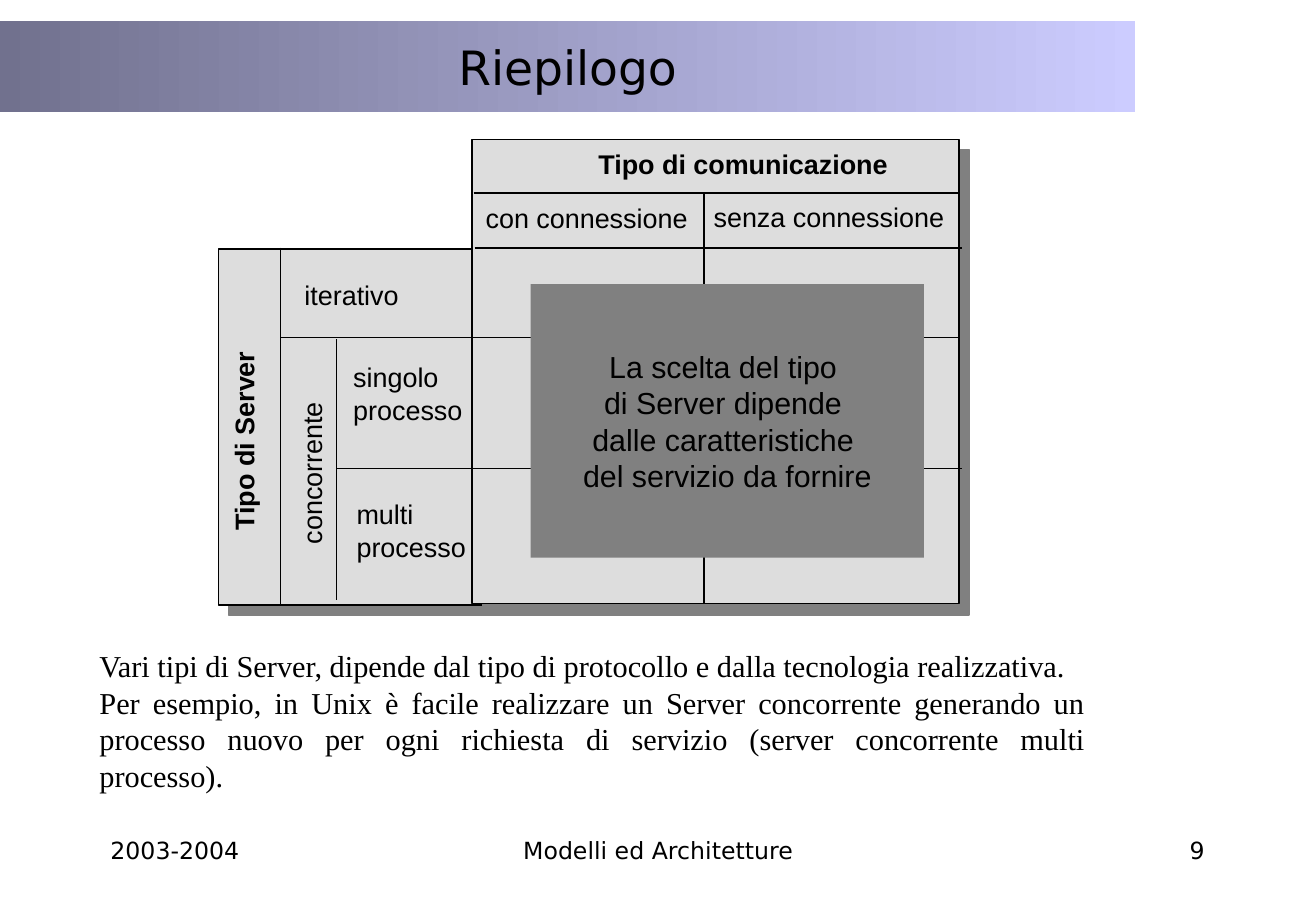
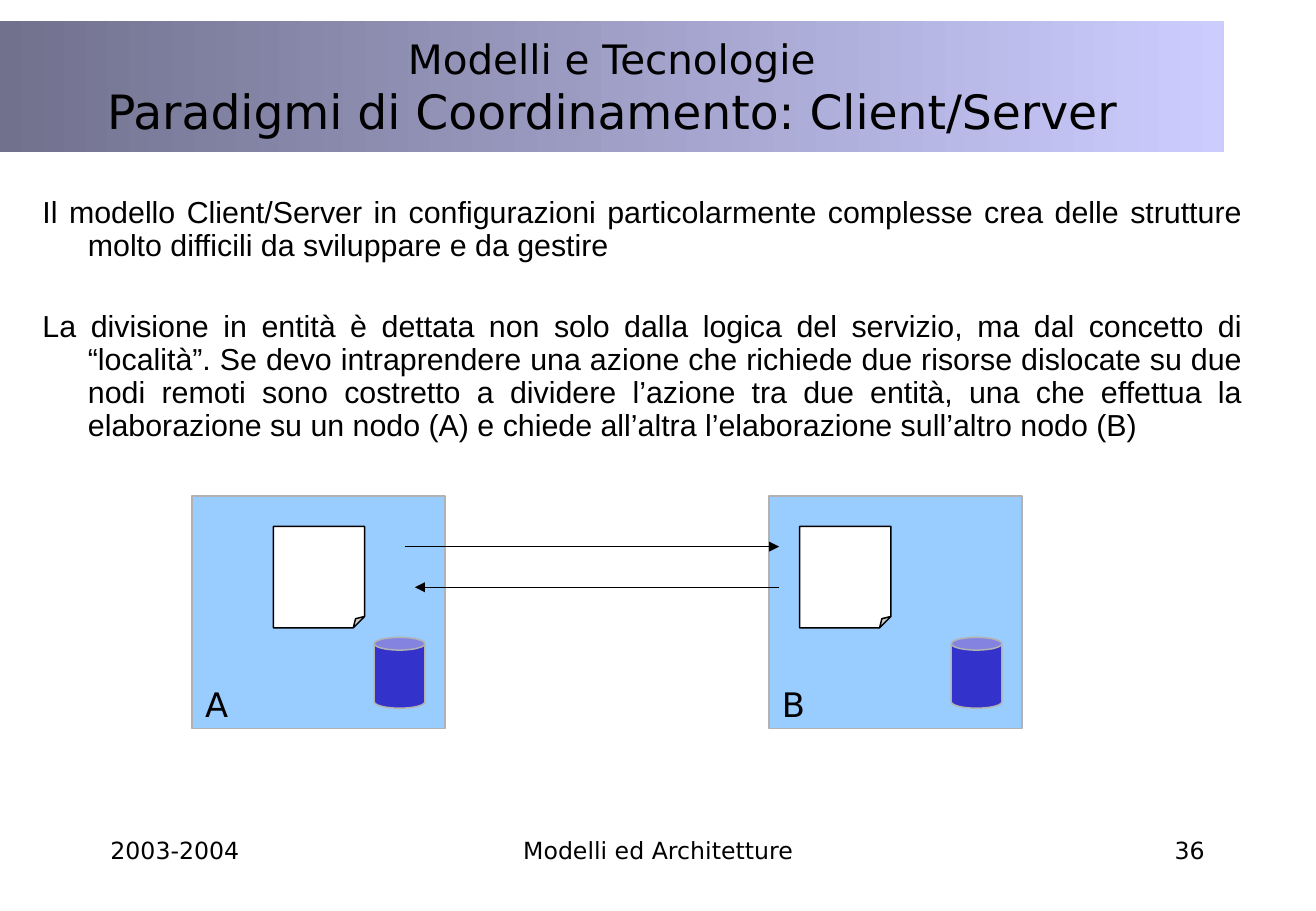
from dataclasses import dataclass

from lxml.etree import SubElement
from pptx import Presentation
from pptx.dml.color import RGBColor
from pptx.enum.shapes import MSO_CONNECTOR, MSO_SHAPE
from pptx.enum.text import MSO_ANCHOR, MSO_AUTO_SIZE, PP_ALIGN
from pptx.oxml.ns import qn
from pptx.util import Cm, Pt


@dataclass(frozen=True)
class Theme:
    ink: str = "000000"
    band_dark: str = "71718E"
    band_light: str = "CCCCFF"
    grid: str = "DDDDDD"
    grey: str = "808080"
    node: str = "99CCFF"
    disk: str = "3333CC"
    edge: str = "B2B2B2"
    paper: str = "FFFFFF"
    head: str = "DejaVu Sans"
    sans: str = "Arial"
    serif: str = "Times New Roman"
    title: int = 28
    overline: int = 24
    node_label: int = 20
    body: int = 18
    label: int = 16
    footer: int = 14
    grid_line: float = 1
    thin_line: float = 0.88


T = Theme()
LEFT, CENTER, RIGHT, JUSTIFY = PP_ALIGN.LEFT, PP_ALIGN.CENTER, PP_ALIGN.RIGHT, PP_ALIGN.JUSTIFY

# Boxes are (left, top, width, height) and points (x, y), in centimetres.
FOOTER_TOP, FOOTER_HEIGHT = 17.35, 1.27
FOOTERS = [  # left, width, alignment, text
    (2.06, 5.74, LEFT, "2003-2004"),
    (8.69, 10.16, CENTER, "Modelli ed Architetture"),
    (19.71, 5.74, RIGHT, "{number}"),
]

SUMMARY_TITLE = ["Riepilogo"]
SUMMARY_TEXT = [
    ("Vari tipi di Server, dipende dal tipo di protocollo e dalla tecnologia realizzativa. ",
     {"line_spacing": 0.9}),
    "Per esempio, in Unix è facile realizzare un Server concorrente generando un processo "
    "nuovo per ogni richiesta di servizio (server concorrente multi processo).",
]
GRID_PANELS = [(4.57, 5.21, 15.49, 7.44), (9.88, 2.92, 10.19, 9.7)]
GRID_LINES = [
    ((9.91, 4.04), (20.07, 4.04)),
    ((9.93, 5.18), (20.12, 5.18)),
    ((5.87, 7.06), (20.04, 7.06)),
    ((7.06, 9.8), (20.12, 9.8)),
    ((5.87, 5.18), (5.87, 12.62)),
    ((7.04, 7.09), (7.04, 12.55)),
    ((14.73, 4.04), (14.73, 12.62)),
]
GRID_LABELS = [  # box, lines, format
    ((12.27, 2.97, 6.73, 0.94), ["Tipo di comunicazione"], {"bold": True}),
    ((9.91, 4.09, 4.75, 0.94), ["con connessione"], {}),
    ((14.68, 4.06, 5.33, 0.94), ["senza connessione"], {}),
    ((6.12, 5.69, 2.49, 0.94), ["iterativo"], {}),
    ((7.14, 7.42, 2.79, 1.6), ["singolo", "processo"], {}),
    ((7.21, 10.29, 2.79, 1.6), ["multi", "processo"], {}),
    ((4.78, 9.42, 3.48, 0.94), ["concorrente"], {"rotation": 270}),
    ((2.97, 8.74, 4.27, 0.94), ["Tipo di Server"], {"rotation": 270, "bold": True}),
]
CHOICE_BOX = (11.1, 5.94, 8.23, 5.72)
CHOICE_TEXT = ["La scelta del tipo ", "di Server dipende ", "dalle caratteristiche ",
               "del servizio da fornire"]

PARADIGM_TITLE = [("Modelli e Tecnologie", {"size": T.overline}),
                  "Paradigmi di Coordinamento: Client/Server"]
PARADIGM_TEXT = [
    "Il modello Client/Server in configurazioni particolarmente complesse crea delle "
    "strutture molto difficili da sviluppare e da gestire",
    ("La divisione in entità è dettata non solo dalla logica del servizio, ma dal concetto "
     "di “località”. Se devo intraprendere una azione che richiede due risorse dislocate su "
     "due nodi remoti sono costretto a dividere l’azione tra due entità, una che effettua la "
     "elaborazione su un nodo (A) e chiede all’altra l’elaborazione sull’altro nodo (B)",
     {"space_before": 28.5}),
]
NODE_TOP, NODE_WIDTH, NODE_HEIGHT = 10.37, 5.29, 4.87
NODES = [("A", 4.02, 1.7), ("B", 16.09, 0.64)]  # name, left, inset of the page
MESSAGES = [((8.47, 11.43), (16.3, 11.43)), ((16.3, 12.28), (8.68, 12.28))]


def rgb(value):
    return RGBColor.from_string(value)


def add_paragraph(p, text, *, size, font, align=LEFT, bold=False, line_spacing=None,
                  space_before=None, hanging=None):
    if hanging:
        pPr = p._p.get_or_add_pPr()
        pPr.set("marL", str(Cm(hanging)))
        pPr.set("indent", str(-Cm(hanging)))
    p.alignment = align
    if line_spacing:
        p.line_spacing = line_spacing
    if space_before:
        p.space_before = Pt(space_before)
    r = p.add_run()
    r.text = text
    r.font.name, r.font.size, r.font.bold = font, Pt(size), bold
    r.font.color.rgb = rgb(T.ink)


def write(sp, paragraphs, *, anchor=MSO_ANCHOR.TOP, wrap=True, **fmt):
    """Fill a shape with text; a paragraph is a string or (string, own format)."""
    tf = sp.text_frame
    tf.word_wrap, tf.vertical_anchor = wrap, anchor
    for i, item in enumerate(paragraphs):
        text, own = (item, {}) if isinstance(item, str) else item
        p = tf.add_paragraph() if i else tf.paragraphs[0]
        add_paragraph(p, text, **{**fmt, **own})


def add_text(s, box, paragraphs, *, rotation=0, fit=False, **fmt):
    sp = s.shapes.add_textbox(*map(Cm, box))
    sp.rotation = rotation
    write(sp, paragraphs, wrap=not fit, **fmt)
    if fit:
        sp.text_frame.auto_size = MSO_AUTO_SIZE.SHAPE_TO_FIT_TEXT


def add_box(s, box, fill=None, line=None, *, kind=MSO_SHAPE.RECTANGLE, width=T.thin_line):
    sp = s.shapes.add_shape(kind, *map(Cm, box))
    sp.shadow.inherit = False
    if fill:
        sp.fill.solid()
        sp.fill.fore_color.rgb = rgb(fill)
    if line:
        sp.line.color.rgb = rgb(line)
        sp.line.width = Pt(width)
    else:
        sp.line.fill.background()
    return sp


def drop_shadow(sp):
    effects = sp._element.spPr.find(qn("a:effectLst"))
    shadow = SubElement(effects, qn("a:outerShdw"), dist=str(Pt(8.5)), dir="2700000",
                        algn="ctr", rotWithShape="0")
    SubElement(shadow, qn("a:srgbClr"), val=T.grey)


def set_fold(sp, share):
    """Size the folded corner, for which python-pptx lists no adjustment."""
    guides = sp._element.spPr.find(qn("a:prstGeom")).get_or_add_avLst()
    SubElement(guides, qn("a:gd"), name="adj", fmla=f"val {round(share * 100000)}")


def add_line(s, start, end, width, arrow=False):
    c = s.shapes.add_connector(MSO_CONNECTOR.STRAIGHT, *map(Cm, start + end))
    c.line.color.rgb = rgb(T.ink)
    c.line.width = Pt(width)
    if arrow:
        SubElement(c.line._get_or_add_ln(), qn("a:tailEnd"), type="triangle")
    SubElement(c._element.spPr, qn("a:effectLst"))


def add_slide(prs, title, number, band_width, band_height):
    """Blank slide with the title band and the footers."""
    s = prs.slides.add_slide(prs.slide_layouts[6])
    band = add_box(s, (0, 0.43, band_width, band_height))
    band.fill.gradient()
    band.fill.gradient_angle = 0
    for stop, colour in zip(band.fill.gradient_stops, (T.band_dark, T.band_light)):
        stop.color.rgb = rgb(colour)
    write(band, title, anchor=MSO_ANCHOR.MIDDLE, size=T.title, font=T.head, align=CENTER)
    for left, width, align, text in FOOTERS:
        add_text(s, (left, FOOTER_TOP, width, FOOTER_HEIGHT), [text.format(number=number)],
                 size=T.footer, font=T.head, align=align)
    return s


def build_summary(prs):
    s = add_slide(prs, SUMMARY_TITLE, 9, 23.75, 1.91)
    add_text(s, (1.83, 13.49, 21.13, 3.23), SUMMARY_TEXT,
             size=T.body, font=T.serif, align=JUSTIFY)
    for panel in GRID_PANELS:
        drop_shadow(add_box(s, panel, T.grid, T.ink, width=T.grid_line))
    for start, end in GRID_LINES:
        add_line(s, start, end, T.grid_line)
    for box, lines, fmt in GRID_LABELS:
        add_text(s, box, lines, fit=True, size=T.label, font=T.sans, **fmt)
    write(add_box(s, CHOICE_BOX, T.grey), CHOICE_TEXT, anchor=MSO_ANCHOR.MIDDLE, wrap=False,
          size=T.body, font=T.sans, align=CENTER)


def build_paradigm(prs):
    s = add_slide(prs, PARADIGM_TITLE, 36, 25.6, 2.75)
    add_text(s, (0.64, 4.01, 25.6, 13.13), PARADIGM_TEXT, size=T.body, font=T.sans,
             align=JUSTIFY, line_spacing=0.9, hanging=0.95)
    for name, left, page_inset in NODES:
        add_box(s, (left, NODE_TOP, NODE_WIDTH, NODE_HEIGHT), T.node, T.edge)
        add_box(s, (left + 3.81, NODE_TOP + 2.96, 1.06, 1.48), T.disk, T.edge,
                kind=MSO_SHAPE.CAN)
        page = add_box(s, (left + page_inset, NODE_TOP + 0.64, 1.91, 2.12), T.paper, T.ink,
                       kind=MSO_SHAPE.FOLDED_CORNER)
        set_fold(page, 0.125)
        add_text(s, (left + 0.02, NODE_TOP + 3.81, 0.97, 1.12), [name], fit=True,
                 size=T.node_label, font=T.head, align=CENTER)
    for start, end in MESSAGES:
        add_line(s, start, end, T.thin_line, arrow=True)


def main():
    prs = Presentation()
    prs.slide_width, prs.slide_height = Cm(27.53), Cm(19.05)
    build_summary(prs)
    build_paradigm(prs)
    prs.save("out.pptx")


if __name__ == "__main__":
    main()
